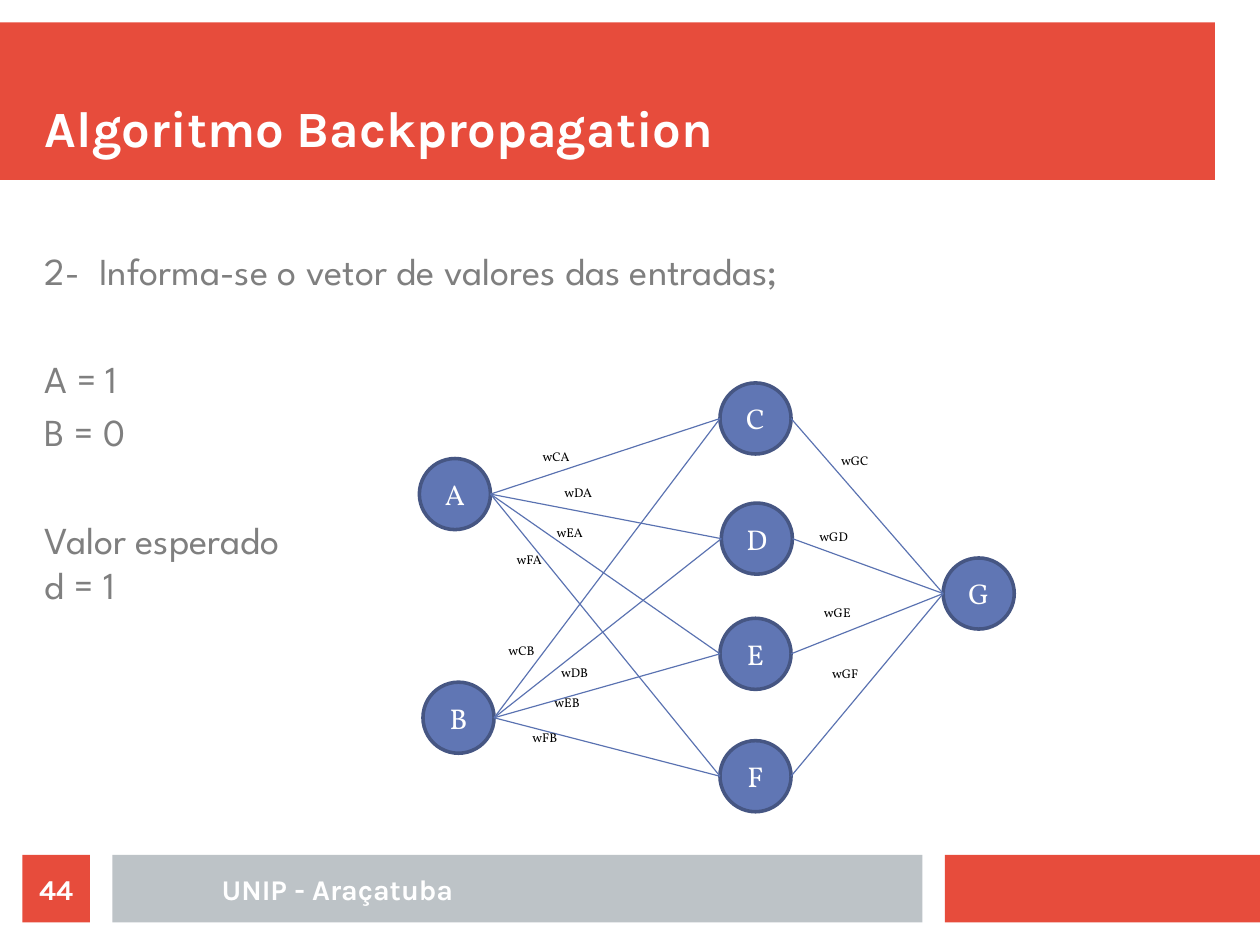
from dataclasses import dataclass

from lxml import etree
from pptx import Presentation
from pptx.dml.color import RGBColor
from pptx.enum import shapes, text
from pptx.oxml import ns
from pptx.util import Cm, Pt

RED, GREY, WHITE = "E74C3C", "BDC3C7", "FFFFFF"
TITLE_FONT, BODY_FONT, NETWORK_FONT = "Karla", "League Spartan", "Vollkorn"
DIAMETER = 1.58


@dataclass
class Neuron:
    name: str
    left: float
    top: float

    @property
    def middle(self) -> float:
        return self.top + DIAMETER / 2


@dataclass
class Weight:
    source: str
    target: str
    label_left: float
    label_top: float


@dataclass
class Entry:
    wording: str
    space_before: float


NEURONS = [
    Neuron("A", 9.32, 10.19), Neuron("B", 9.4, 15.16),
    Neuron("C", 16, 8.51), Neuron("D", 16.03, 11.18),
    Neuron("E", 16, 13.74), Neuron("F", 16, 16.46),
    Neuron("G", 20.96, 12.4),
]
WEIGHTS = [
    Weight("A", "C", 11.81, 9.86), Weight("A", "D", 12.29, 10.64),
    Weight("A", "E", 12.12, 11.53), Weight("A", "F", 11.23, 12.14),
    Weight("B", "C", 11.05, 14.17), Weight("B", "D", 12.22, 14.66),
    Weight("B", "E", 12.07, 15.32), Weight("B", "F", 11.58, 16.1),
    Weight("C", "G", 18.44, 9.93), Weight("D", "G", 17.96, 11.63),
    Weight("E", "G", 18.06, 13.31), Weight("F", "G", 18.24, 14.68),
]
ENTRIES = [
    Entry("2-  Informa-se o vetor de valores das entradas;", 0),
    Entry("A = 1", 39), Entry("B = 0", 4.8),
    Entry("Valor esperado", 39), Entry("d = 1", 0),
]


def color(target, value: str) -> None:
    """Apply a hex colour to a fill or a font."""
    if hasattr(target, "solid"):
        target.solid()
        target.fore_color.rgb = RGBColor.from_string(value)
    else:
        target.color.rgb = RGBColor.from_string(value)


def style(paragraph, face: str, size: float, value: str, bold: bool = False,
          align=text.PP_ALIGN.LEFT) -> None:
    paragraph.alignment = align
    paragraph.font.name = face
    paragraph.font.size = Pt(size)
    paragraph.font.bold = bold
    color(paragraph.font, value)


def place(shape, left: float, top: float, width: float, height: float) -> None:
    shape.left, shape.top = Cm(left), Cm(top)
    shape.width, shape.height = Cm(width), Cm(height)


def prepare(frame, anchor) -> None:
    frame.word_wrap = True
    frame.auto_size = text.MSO_AUTO_SIZE.NONE
    frame.vertical_anchor = anchor
    frame.margin_left = frame.margin_right = 0
    frame.margin_top = frame.margin_bottom = 0


def add_filled(slide, preset, left: float, top: float, width: float,
               height: float, fill: str):
    shape = slide.shapes.add_shape(preset, Cm(left), Cm(top), Cm(width), Cm(height))
    shape.shadow.inherit = False
    color(shape.fill, fill)
    shape.line.fill.background()
    return shape


def add_neuron(slide, neuron: Neuron) -> None:
    circle = add_filled(slide, shapes.MSO_SHAPE.OVAL, neuron.left, neuron.top,
                        DIAMETER, DIAMETER, "6076B4")
    color(circle.line.fill, "465683")
    circle.line.width = Pt(2.25)
    prepare(circle.text_frame, text.MSO_ANCHOR.MIDDLE)
    circle.text_frame.text = neuron.name
    style(circle.text_frame.paragraphs[0], NETWORK_FONT, 18, WHITE,
          align=text.PP_ALIGN.CENTER)


def add_synapse(slide, source: Neuron, target: Neuron) -> None:
    synapse = slide.shapes.add_connector(
        shapes.MSO_CONNECTOR.STRAIGHT,
        Cm(source.left + DIAMETER), Cm(source.middle),
        Cm(target.left), Cm(target.middle))
    color(synapse.line.fill, "5A72B1")
    synapse.line.width = Pt(0.75)
    etree.SubElement(synapse._element.spPr, ns.qn("a:effectLst"))


def add_weight_label(slide, weight: Weight) -> None:
    label = slide.shapes.add_textbox(Cm(weight.label_left), Cm(weight.label_top),
                                     Cm(1.3), Cm(0.66))
    label.text_frame.word_wrap = True
    label.text_frame.text = f"w{weight.target}{weight.source}"
    style(label.text_frame.paragraphs[0], NETWORK_FONT, 8, "000000")


def add_entry(paragraph, entry: Entry) -> None:
    paragraph.text = entry.wording
    properties = paragraph._p.get_or_add_pPr()
    properties.set("marL", "0")
    properties.set("indent", "0")
    etree.SubElement(properties, ns.qn("a:buNone"))
    paragraph.line_spacing = 1.0
    paragraph.space_before = Pt(entry.space_before)
    style(paragraph, BODY_FONT, 24, "7F7F7F")


def main() -> None:
    deck = Presentation()
    deck.slide_width, deck.slide_height = Cm(28), Cm(21)
    slide = deck.slides.add_slide(deck.slide_layouts[1])
    rectangle = shapes.MSO_SHAPE.RECTANGLE

    # Bands, sent behind the placeholders
    for band in [(0, 0.5, 27, 3.5, RED), (21, 19, 7, 1.5, RED),
                 (2.5, 19, 18, 1.5, GREY)]:
        shape = add_filled(slide, rectangle, *band)
        slide.shapes._spTree.insert(2, shape._element)

    # Title
    title = slide.shapes.title
    place(title, 1, 1, 26, 2.5)
    prepare(title.text_frame, text.MSO_ANCHOR.BOTTOM)
    title.text_frame.text = "Algoritmo Backpropagation"
    style(title.text_frame.paragraphs[0], TITLE_FONT, 32, WHITE, bold=True)

    # Input values
    inputs = slide.placeholders[1]
    place(inputs, 1, 5.5, 25.5, 13)
    prepare(inputs.text_frame, text.MSO_ANCHOR.TOP)
    for index, entry in enumerate(ENTRIES):
        frame = inputs.text_frame
        add_entry(frame.add_paragraph() if index else frame.paragraphs[0], entry)

    # Neural network
    by_name = {neuron.name: neuron for neuron in NEURONS}
    for neuron in NEURONS:
        add_neuron(slide, neuron)
    for weight in WEIGHTS:
        add_synapse(slide, by_name[weight.source], by_name[weight.target])
    for weight in WEIGHTS:
        add_weight_label(slide, weight)

    # Footer
    institution = slide.shapes.add_textbox(Cm(3), Cm(19), Cm(9), Cm(1.5))
    page_number = add_filled(slide, rectangle, 0.5, 19, 1.5, 1.5, RED)
    for part, wording in [(institution, "UNIP - Araçatuba"), (page_number, "44")]:
        prepare(part.text_frame, text.MSO_ANCHOR.MIDDLE)
        part.text_frame.text = wording
        style(part.text_frame.paragraphs[0], TITLE_FONT, 18, WHITE, bold=True,
              align=text.PP_ALIGN.CENTER)

    deck.save("out.pptx")


if __name__ == "__main__":
    main()
